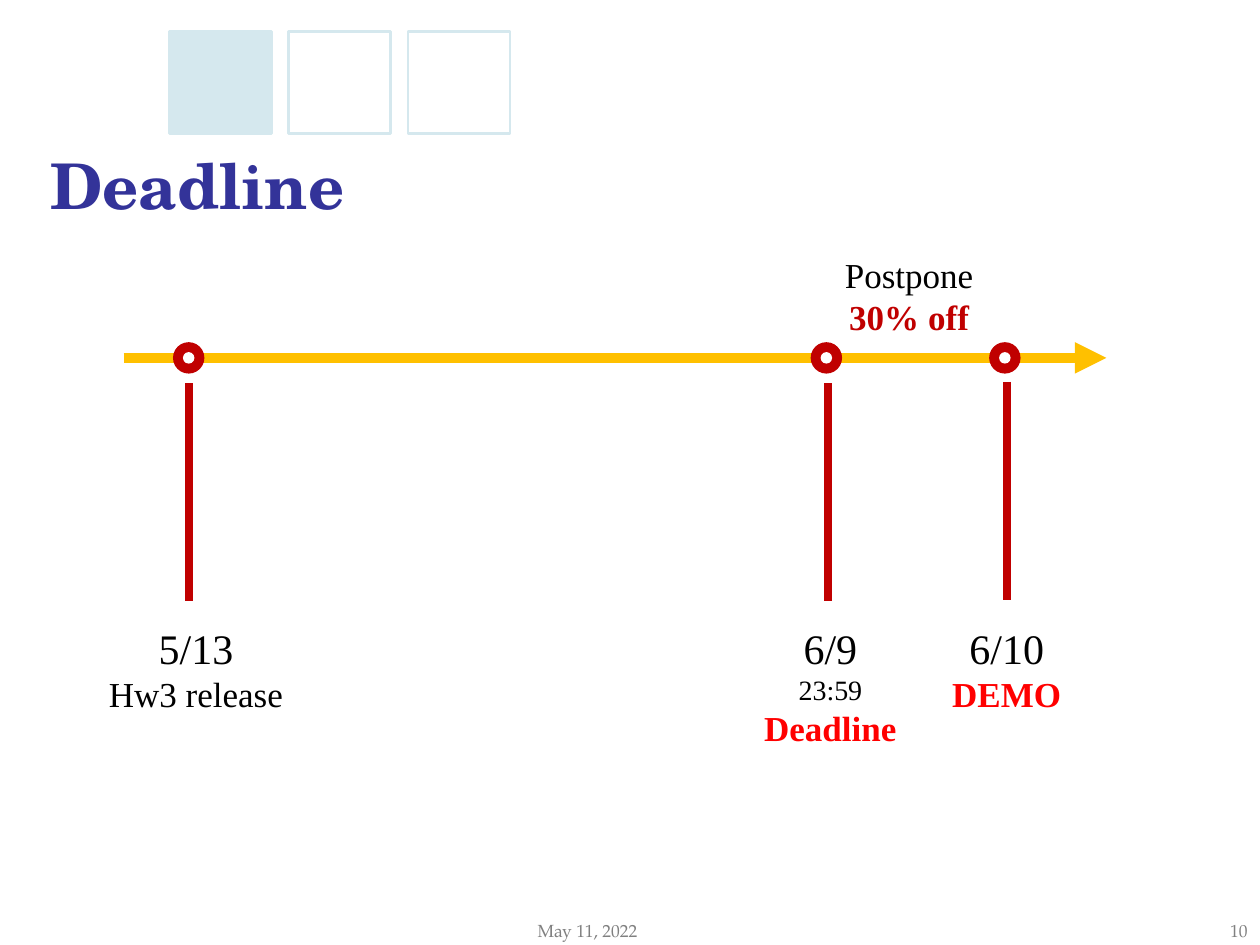
from lxml import etree
from pptx import Presentation
from pptx.dml.color import RGBColor
from pptx.enum.shapes import MSO_CONNECTOR, MSO_SHAPE
from pptx.enum.text import MSO_ANCHOR, MSO_AUTO_SIZE, PP_ALIGN
from pptx.oxml.ns import qn
from pptx.util import Pt

STRAIGHT = MSO_CONNECTOR.STRAIGHT
SQUARE = MSO_SHAPE.RECTANGLE
DOT = MSO_SHAPE.FLOWCHART_CONNECTOR
MIDDLE = MSO_ANCHOR.MIDDLE
TOP = MSO_ANCHOR.TOP
FIT_SHAPE = MSO_AUTO_SIZE.SHAPE_TO_FIT_TEXT
FIXED = MSO_AUTO_SIZE.NONE
LEFT, CENTER, RIGHT = PP_ALIGN.LEFT, PP_ALIGN.CENTER, PP_ALIGN.RIGHT

BODY_FONT = "Times New Roman"
TITLE_FONT = "TeX Gyre Schola"
FOOTER_FONT = "TeX Gyre Pagella"
PALE_BLUE, NAVY, GRAY = "D5E8EE", "333399", "808080"
GOLD, DARK_RED, RED = "FFC000", "C00000", "FF0000"
BLACK, WHITE = "000000", "FFFFFF"

AXIS_Y = 204.5
LABEL_TOP = 352


def color(hex_value):
    return RGBColor.from_string(hex_value)


def add_run(paragraph, text, size, font=BODY_FONT, hex_value=BLACK, bold=False):
    run = paragraph.add_run()
    run.text = text
    run.font.name = font
    run.font.size = Pt(size)
    run.font.bold = bold
    run.font.color.rgb = color(hex_value)


def add_shape(slide, kind, left, top, size, line, width, fill=None):
    shape = slide.shapes.add_shape(kind, Pt(left), Pt(top), Pt(size), Pt(size))
    shape.shadow.inherit = False
    if fill:
        shape.fill.solid()
        shape.fill.fore_color.rgb = color(fill)
    else:
        shape.fill.background()
    shape.line.color.rgb = color(line)
    shape.line.width = Pt(width)


def add_line(slide, start, end, hex_value, width, arrow=False):
    line = slide.shapes.add_connector(STRAIGHT, *map(Pt, start + end))
    line.line.color.rgb = color(hex_value)
    line.line.width = Pt(width)
    properties = line._element.spPr
    if arrow:
        outline = properties.find(qn("a:ln"))
        etree.SubElement(outline, qn("a:tailEnd"), type="triangle")
    etree.SubElement(properties, qn("a:effectLst"))


def add_text(slide, box, paragraphs, alignment=CENTER, auto_size=FIT_SHAPE):
    shape = slide.shapes.add_textbox(*map(Pt, box))
    frame = shape.text_frame
    frame.word_wrap = True
    frame.auto_size = auto_size
    frame.vertical_anchor = TOP
    for index, lines in enumerate(paragraphs):
        paragraph = frame.add_paragraph() if index else frame.paragraphs[0]
        paragraph.alignment = alignment
        for number, line in enumerate(lines):
            if number:
                paragraph.add_line_break()
            add_run(paragraph, *line)


def format_title(slide):
    title = slide.shapes.title
    title.left, title.top, title.width, title.height = map(Pt, (28.8, 77, 653, 62))
    frame = title.text_frame
    frame.margin_left = frame.margin_right = 0
    frame.margin_top = frame.margin_bottom = 0
    frame.vertical_anchor = MIDDLE
    frame.auto_size = FIXED
    paragraph = frame.paragraphs[0]
    paragraph.alignment = LEFT
    paragraph.line_spacing = 0.9
    add_run(paragraph, "Deadline", 36, TITLE_FONT, NAVY, True)


def add_header_squares(slide):
    for index, fill in enumerate((PALE_BLUE, None, None)):
        add_shape(slide, SQUARE, 96.7 + index * 68.2, 18, 58.3, PALE_BLUE, 1.5, fill)


def add_footer(slide):
    style = (10, FOOTER_FONT, GRAY)
    add_text(slide, (300.2, 522, 118.8, 18), [[("May 11, 2022", *style)]], LEFT, FIXED)
    add_text(slide, (683.3, 522, 36.7, 18), [[("10", *style)]], RIGHT, FIXED)


def add_milestone(slide, center, stem_x, stem_top, label_box, paragraphs):
    for size, fill in ((17.2, DARK_RED), (5.8, WHITE)):
        add_shape(slide, DOT, center - size / 2, AXIS_Y - size / 2, size, fill, 0.75, fill)
    add_line(slide, (stem_x, stem_top), (stem_x, stem_top + 124.6), DARK_RED, 4.5)
    left, width, height = label_box
    add_text(slide, (left, LABEL_TOP, width, height), paragraphs)


def main():
    presentation = Presentation()
    presentation.slide_width, presentation.slide_height = Pt(720), Pt(540)
    slide = presentation.slides.add_slide(presentation.slide_layouts[5])
    add_header_squares(slide)
    format_title(slide)
    add_footer(slide)
    add_line(slide, (70.6, AXIS_Y), (632.2, AXIS_Y), GOLD, 6, True)

    emphasis = (20, BODY_FONT, RED, True)
    milestones = [
        (107.8, 107.8, 219, (42.5, 139, 60.5),
         [[("5/13", 24)], [("Hw3 release", 20)]]),
        (472.2, 473, 219, (428.4, 92.2, 80),
         [[("6/9", 24)], [("23:59", 16), ("Deadline", *emphasis)]]),
        (574.2, 575.4, 218.2, (535.7, 79.2, 60.5),
         [[("6/10", 24)], [("DEMO", *emphasis)]]),
    ]
    for milestone in milestones:
        add_milestone(slide, *milestone)

    add_text(slide, (475.2, 141.1, 88.6, 55.4),
             [[("Postpone", 20)], [("30% off", 20, BODY_FONT, DARK_RED, True)]])
    presentation.save("out.pptx")


if __name__ == "__main__":
    main()
